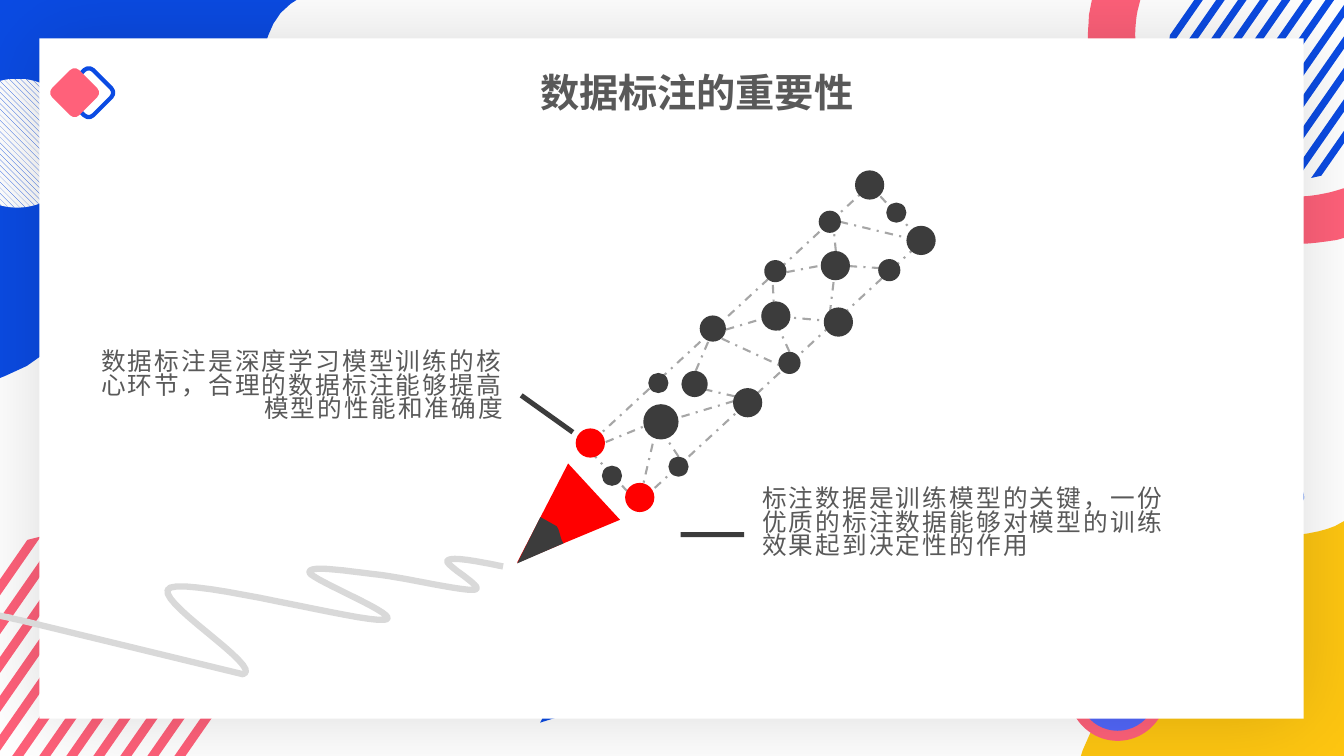
import math

import pptx
import pptx.dml.color
import pptx.enum.dml
import pptx.enum.shapes
import pptx.enum.text
import pptx.oxml
import pptx.oxml.ns
import pptx.util

RGB = pptx.dml.color.RGBColor
BLUE = RGB(0x0B, 0x4B, 0xE3)
ROSE = RGB(0xFF, 0x61, 0x7A)
GOLD = RGB(0xFE, 0xC6, 0x11)
VIOLET = RGB(0x52, 0x67, 0xFA)
WHITE = RGB(0xFF, 0xFF, 0xFF)
RED = RGB(0xFF, 0x00, 0x00)
DARK = RGB(0x3C, 0x3C, 0x3C)
TEXT = RGB(0x59, 0x59, 0x59)
GRAY = RGB(0xA6, 0xA6, 0xA6)
PALE = RGB(0xD9, 0xD9, 0xD9)

PX = 9144  # 100 px to the inch
WIDE, HIGH = 1333, 750
FONT = "Noto Sans CJK SC"
TILT = 47.3
FORM = pptx.enum.shapes.MSO_SHAPE
ALIGN = pptx.enum.text.PP_ALIGN
ANCHOR = pptx.enum.text.MSO_ANCHOR
DASH = pptx.enum.dml.MSO_LINE.DASH_DOT

deck = pptx.Presentation()
deck.slide_width, deck.slide_height = WIDE * PX, HIGH * PX
slide = deck.slides.add_slide(deck.slide_layouts[5])
shapes = slide.shapes


def put(form, box=None, fill=None, line=None, width=1, turn=0):
    """Add a preset shape in a box or, without a box, a list of outlines."""
    if box:
        shape = shapes.add_shape(form, *[n * PX for n in box])
    else:
        outlines = [[(x * 10, y * 10) for x, y in part] for part in form]
        pen = shapes.build_freeform(*outlines[0][0], scale=PX / 10)
        for part in outlines:
            pen.move_to(*part[0])
            pen.add_line_segments(part[1:], close=fill is not None)
        shape = pen.convert_to_shape()
    shape.rotation = turn
    shape.shadow.inherit = False
    if fill is None:
        shape.fill.background()
    else:
        shape.fill.solid()
        shape.fill.fore_color.rgb = fill
    if line is None:
        shape.line.fill.background()
    else:
        shape.line.color.rgb = line
        shape.line.width = pptx.util.Pt(width)
    return shape


def curve(*steps):
    """Turn points (2 numbers) and cubic curves (6 numbers) into an outline."""
    points = [steps[0]]
    for step in steps[1:]:
        if len(step) == 2:
            points.append(step)
            continue
        ax, ay = points[-1]
        bx, by, cx, cy, dx, dy = step
        for i in range(1, 17):
            t = i / 16
            s = 1 - t
            a, b, c, d = s ** 3, 3 * s * s * t, 3 * s * t * t, t ** 3
            points.append((a * ax + b * bx + c * cx + d * dx,
                           a * ay + b * by + c * cy + d * dy))
    return [points]


# Corner decorations
put(curve((1333, 517), (1333, 750), (1072, 750), (1074, 744),
          (1111, 640, 1202, 752, 1208, 617), (1214, 518, 1283, 540, 1324, 522)), fill=GOLD)
put(curve((0, 0), (294, 0), (288, 4), (229, 46, 295, 179, 157, 190),
          (-1, 198, 136, 325, 5, 373), (0, 375)), fill=BLUE)
moon = put(FORM.OVAL, (-47, 78, 128, 128))
moon.fill.patterned()
moon.fill.pattern = pptx.enum.dml.MSO_PATTERN.WIDE_DOWNWARD_DIAGONAL
moon.fill.fore_color.rgb = BLUE
moon.fill.back_color.rgb = WHITE
put(FORM.OVAL, (1060, 638, 97, 97), ROSE)
put(FORM.OVAL, (1070, 648, 77, 77), VIOLET)
put(FORM.RIGHT_TRIANGLE, (525, 647, 62, 62), BLUE, turn=252.5)
put(curve((1083, 0), (1131, 0), (1130, 4), (1127, 14, 1126, 25, 1126, 36),
          (1126, 124, 1197, 195, 1285, 195), (1301, 195, 1317, 192, 1332, 187),
          (1333, 187), (1333, 236), (1326, 238), (1313, 240, 1299, 242, 1285, 242),
          (1171, 242, 1079, 150, 1079, 36), (1079, 29, 1080, 22, 1080, 15)), fill=ROSE)

# Striped discs: each stripe is two chords cut off at the slide edges
ux, uy = 0.57, -0.82
for color, mx, my, radius, base, first, gap, thick, count in [
        (ROSE, 70, 676, 147, 750, 184, -26.8, 11, 14),
        (BLUE, 1278, 59, 120, 0, 1193, 21.7, 8.5, 13)]:
    bands = []
    for i in range(count):
        ends = []
        for x in (first + i * gap, first + i * gap - thick):
            mid = (mx - x) * ux + (my - base) * uy
            off = (mx - x) * uy - (my - base) * ux
            half = math.sqrt(max(0, radius ** 2 - off ** 2))
            low = max(mid - half, -x / ux, (HIGH - base) / uy)
            top = min(mid + half, (WIDE - x) / ux, -base / uy)
            if low < top:
                ends.append([(x + t * ux, base + t * uy) for t in (low, top)])
        if len(ends) == 2:
            bands.append(ends[0] + ends[1][::-1])
    put(bands, fill=color)
put(FORM.CAN, (1219, 453, 59, 79), ROSE, BLUE, turn=52)

# Card, badge and title
card = put(FORM.ROUNDED_RECTANGLE, (39, 38, 1254, 675), WHITE)
card.adjustments[0] = 0
glow = card.element.spPr.find(pptx.oxml.ns.qn("a:effectLst"))
glow.append(pptx.oxml.parse_xml(
    f'<a:outerShdw {pptx.oxml.ns.nsdecls("a")} blurRad="762000" dist="0" algn="ctr" '
    'rotWithShape="0"><a:srgbClr val="000000"><a:alpha val="15000"/></a:srgbClr></a:outerShdw>'))
put(FORM.ROUNDED_RECTANGLE, (69, 73, 38, 38), None, BLUE, 3, 45)
put(FORM.ROUNDED_RECTANGLE, (55, 73, 38, 38), ROSE, turn=45)
title = shapes.title
card.element.addnext(title.element)

# Pencil
put(FORM.ISOSCELES_TRIANGLE, (513, 471, 76, 104), RED, turn=TILT + 180)
put(curve((536, 513), (513, 559), (559, 539), (555, 534, 556, 527, 552, 522)), fill=DARK)
put(FORM.RECTANGLE, (710, 150, 76, 383), None, GRAY, 1.5, TILT).line.dash_style = DASH
for link in [
        (908, 238, 833, 220), (873, 266, 842, 264), (823, 311, 827, 278), (829, 249, 826, 218),
        (780, 270, 822, 262), (783, 349, 768, 316), (720, 327, 764, 314), (768, 314, 766, 271),
        (773, 314, 828, 319), (716, 336, 781, 366), (690, 368, 705, 333), (676, 381, 741, 396),
        (673, 453, 655, 426), (651, 418, 590, 443), (635, 493, 650, 429), (654, 420, 731, 397)]:
    wire = shapes.add_connector(pptx.enum.shapes.MSO_CONNECTOR.STRAIGHT, *[n * PX for n in link])
    wire.line.color.rgb = GRAY
    wire.line.width = pptx.util.Pt(1.5)
    wire.line.dash_style = DASH
    wire.element.spPr.append(pptx.oxml.parse_xml(
        f'<a:effectLst {pptx.oxml.ns.nsdecls("a")}/>'))
dots = {
    (DARK, 20): [(597, 462), (879, 201), (663, 453), (643, 370)],
    (DARK, 22): [(871, 257), (812, 209), (772, 349), (758, 258)],
    (DARK, 26): [(694, 313), (676, 368)],
    (DARK, 29): [(848, 169), (899, 224), (814, 249), (727, 385), (817, 305), (755, 299)],
    (DARK, 35): [(638, 401)],
    (RED, 29): [(571, 425), (620, 479)],
}
for (color, size), spots in dots.items():
    for x, y in spots:
        put(FORM.OVAL, (x, y, size, size), color)

# Scribble and pointer bars
put(curve((499, 562), (474, 557, 449, 552, 444, 556), (439, 560, 482, 583, 471, 585),
          (459, 587, 402, 573, 374, 570), (347, 567, 305, 560, 307, 568),
          (308, 575, 404, 613, 381, 615), (359, 618, 193, 574, 169, 583),
          (146, 592, 264, 663, 241, 669), (27, 617), (-12, 608, -1, 611, 11, 613)),
    line=PALE, width=4.5)
put(FORM.RECTANGLE, (540, 379, 5, 63), DARK, turn=125.5)
put(FORM.RECTANGLE, (704, 499, 5, 63), DARK, turn=90)

# Wording
left, right = [shapes.add_textbox(0, 0, PX, PX) for side in range(2)]
for shape, box, words, size, bold, align, anchor, lead, track in [
        (title, (113, 63, 1156, 57), "数据标注的重要性",
         28, True, ALIGN.CENTER, ANCHOR.MIDDLE, 1, 0),
        (left, (90, 344, 419, 83),
         "数据标注是深度学习模型训练的核心环节，合理的数据标注能够提高模型的性能和准确度",
         17.6, False, ALIGN.RIGHT, ANCHOR.TOP, 0.8, 150),
        (right, (746, 480, 426, 83),
         "标注数据是训练模型的关键，一份优质的标注数据能够对模型的训练效果起到决定性的作用",
         17.6, False, ALIGN.LEFT, ANCHOR.TOP, 0.8, 150)]:
    shape.left, shape.top, shape.width, shape.height = [n * PX for n in box]
    frame = shape.text_frame
    frame.text = words
    frame.word_wrap = True
    frame.auto_size = pptx.enum.text.MSO_AUTO_SIZE.NONE
    frame.vertical_anchor = anchor
    para = frame.paragraphs[0]
    para.alignment = align
    para.line_spacing = lead
    run = para.runs[0]
    run.font.name = FONT
    run.font.size = pptx.util.Pt(size)
    run.font.bold = bold
    run.font.color.rgb = TEXT
    props = run._r.get_or_add_rPr()
    props.set("spc", str(track))
    props.find(pptx.oxml.ns.qn("a:latin")).addnext(pptx.oxml.parse_xml(
        f'<a:ea {pptx.oxml.ns.nsdecls("a")} typeface="{FONT}"/>'))

deck.save("out.pptx")
